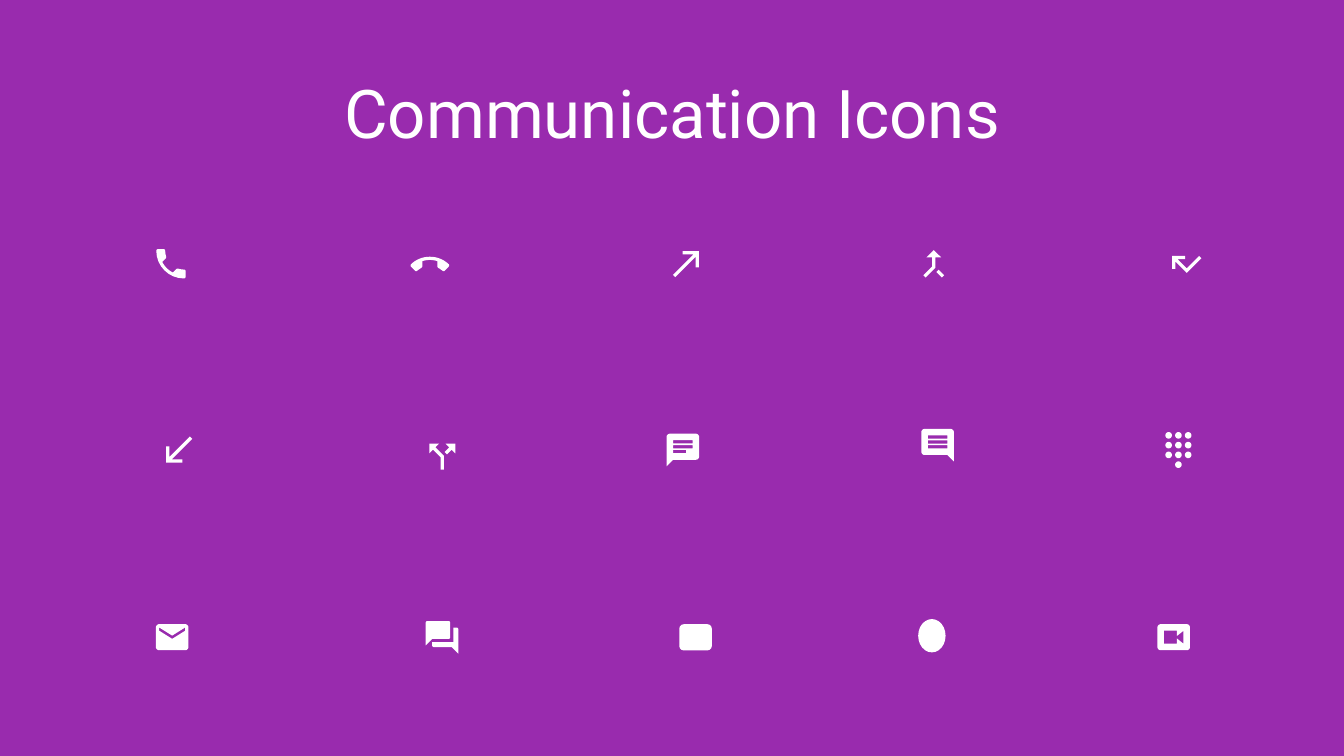
"""Build the Communication Icons slide from outlines on the 24-unit icon grid."""
from dataclasses import dataclass
from math import hypot

from pptx import Presentation
from pptx import util as u
from pptx.dml import color
from pptx.enum import shapes, text

Point = tuple[float, ...]
Contour = list[Point]


@dataclass(frozen=True)
class Theme:
    background: color.RGBColor = color.RGBColor(0x99, 0x2B, 0xAE)
    foreground: color.RGBColor = color.RGBColor(0xFF, 0xFF, 0xFF)
    font: str = "Roboto"
    title_size: u.Pt = u.Pt(48)


@dataclass(frozen=True)
class Icon:
    left: float
    top: float
    contours: list[Contour]


@dataclass(frozen=True)
class PlainIcon:
    kind: shapes.MSO_SHAPE
    left: float
    top: float
    width: float
    height: float


THEME = Theme()
GRID_UNIT = 0.041
CURVE_STEPS = 8
ARC_HANDLE = 0.55


def box(left: float, top: float, right: float, bottom: float, radius: float = 0) -> Contour:
    return [(left, top, radius), (right, top, radius), (right, bottom, radius), (left, bottom, radius)]


def disc(center_x: float, center_y: float, radius: float) -> Contour:
    return box(center_x - radius, center_y - radius, center_x + radius, center_y + radius, radius)


def mirror(contour: Contour, width: float) -> Contour:
    return [(width - point[0], *point[1:]) for point in contour]


def half_turn(contour: Contour, size: float) -> Contour:
    return [(size - x, size - y) for x, y in contour]


def curve(start: Point, first: Point, second: Point, end: Point) -> Contour:
    steps = [step / CURVE_STEPS for step in range(1, CURVE_STEPS + 1)]
    return [
        tuple((1 - t) ** 3 * a + 3 * t * (1 - t) ** 2 * b + 3 * t * t * (1 - t) * c + t ** 3 * d
              for a, b, c, d in zip(start, first, second, end))
        for t in steps
    ]


def toward(start: Point, end: Point, distance: float) -> Point:
    share = distance / hypot(end[0] - start[0], end[1] - start[1])
    return tuple(a + share * (b - a) for a, b in zip(start, end))


def flatten(contour: Contour) -> Contour:
    outline: Contour = []
    for index, point in enumerate(contour):
        if len(point) == 6:
            outline += curve(outline[-1], point[:2], point[2:4], point[4:])
        elif len(point) == 3 and point[2]:
            corner, radius = point[:2], point[2]
            previous = contour[index - 1][-2:] if len(contour[index - 1]) == 6 else contour[index - 1][:2]
            following = contour[(index + 1) % len(contour)][:2]
            start, end = toward(corner, previous, radius), toward(corner, following, radius)
            handle = radius * (1 - ARC_HANDLE)
            outline.append(start)
            outline += curve(start, toward(corner, previous, handle), toward(corner, following, handle), end)
        else:
            outline.append(point[:2])
    return outline


DIAGONAL_ARROW = [(6, 0), (6, 2), (12.59, 2), (0, 14.59), (1.41, 16), (14, 3.41), (14, 10), (16, 10), (16, 0)]
BUBBLE = [(0, 0, 2), (20, 0, 2), (20, 16, 2), (4, 16), (0, 20)]
PANEL = box(0, 0, 20, 16, 2)
TEXT_LINES = [box(4, top, 16, top + 2) for top in (4, 7, 10)]
PHONE = [
    (3.62, 7.79), (5.06, 10.62, 7.38, 12.93, 10.21, 14.38), (12.41, 12.18),
    (12.68, 11.91, 13.08, 11.82, 13.43, 11.94), (14.55, 12.31, 15.76, 12.51, 17, 12.51),
    (17.55, 12.51, 18, 12.96, 18, 13.51), (18, 17), (18, 17.55, 17.55, 18, 17, 18),
    (7.61, 18, 0, 10.39, 0, 1), (0, 0.45, 0.45, 0, 1, 0), (4.5, 0), (5.05, 0, 5.5, 0.45, 5.5, 1),
    (5.5, 2.25, 5.7, 3.45, 6.07, 4.57), (6.18, 4.92, 6.1, 5.31, 5.82, 5.59),
]
HANG_UP = [
    (12, 2), (10.4, 2, 8.85, 2.25, 7.4, 2.72), (7.4, 6.5, 0.8), (5.9, 7.4), (4.2, 8.6),
    (3.5, 9.2, 0.7), (-0.3, 5.37, 1), (3.34, 1.78, 7.46, 0, 12, 0),
    (16.54, 0, 20.66, 1.78, 23.7, 4.67), (24.3, 5.37, 1), (20.5, 9.2, 0.7), (19.8, 8.6),
    (18.1, 7.4), (16.6, 6.5, 0.8), (16.6, 2.72), (15.15, 2.25, 13.6, 2, 12, 2),
]
MERGE = [
    [(11.41, 16.91), (12.82, 15.5), (9.41, 12.09), (8, 13.5)],
    [(1.91, 4.5), (5.41, 4.5), (5.41, 10.09), (0, 15.5), (1.41, 16.91), (7.41, 10.91),
     (7.41, 4.5), (10.91, 4.5), (6.41, 0)],
]
MISSED = [(16.59, 0), (9, 7.59), (3.41, 2), (8, 2), (8, 0), (0, 0), (0, 8), (2, 8), (2, 3.41),
          (9, 10.41), (18, 1.41)]
SPLIT_RIGHT = [(10, 0), (12.29, 2.29), (9.41, 5.17), (10.83, 6.59), (13.71, 3.71), (16, 6), (16, 0)]
SPLIT_LEFT = [(6, 0), (0, 0), (0, 6), (2.29, 3.71), (7, 8.41), (7, 16), (9, 16), (9, 7.59), (3.71, 2.29)]
DIALPAD = [disc(x, y, 2) for x in (2, 8, 14) for y in (2, 8, 14)] + [disc(8, 20, 2)]
ENVELOPE_FLAP = [(18, 4), (10, 9), (2, 4), (2, 2), (10, 7), (18, 2)]
FORUM = [
    [(20, 4, 1), (17, 4), (17, 13), (4, 13), (4, 16, 1), (16, 16), (20, 20)],
    [(15, 11, 1), (15, 0, 1), (0, 0, 1), (0, 15), (4, 11)],
]
CAMERA = [(16, 12), (12, 8.8), (12, 12), (4, 12), (4, 4), (12, 4), (12, 7.2), (16, 4)]

ICONS = [
    Icon(3.94, 6.28, [PHONE]),
    Icon(10.34, 6.47, [HANG_UP]),
    Icon(16.96, 6.33, [DIAGONAL_ARROW]),
    Icon(23.27, 6.3, MERGE),
    Icon(29.54, 6.45, [MISSED]),
    Icon(4.19, 11, [half_turn(DIAGONAL_ARROW, 16)]),
    Icon(10.82, 11.18, [SPLIT_RIGHT]),
    Icon(10.82, 11.18, [SPLIT_LEFT]),
    Icon(16.8, 10.93, [BUBBLE, *TEXT_LINES[:2], box(4, 10, 12, 12)]),
    Icon(23.22, 10.81, [mirror(BUBBLE, 20), *TEXT_LINES]),
    Icon(29.37, 10.89, DIALPAD),
    Icon(3.93, 15.73, [PANEL, ENVELOPE_FLAP]),
    Icon(10.73, 15.65, FORUM),
    Icon(29.17, 15.73, [PANEL, CAMERA]),
]
PLAIN_ICONS = [
    PlainIcon(shapes.MSO_SHAPE.ROUNDED_RECTANGLE, 17.12, 15.73, 0.82, 0.66),
    PlainIcon(shapes.MSO_SHAPE.OVAL, 23.14, 15.6, 0.69, 0.84),
]


def paint(shape) -> None:
    shape.shadow.inherit = False
    shape.fill.solid()
    shape.fill.fore_color.rgb = THEME.foreground
    shape.line.fill.background()


def draw_icon(slide, icon: Icon) -> None:
    outlines = [
        [(u.Cm(icon.left + x * GRID_UNIT), u.Cm(icon.top + y * GRID_UNIT)) for x, y in flatten(contour)]
        for contour in icon.contours
    ]
    builder = slide.shapes.build_freeform(*outlines[0][0])
    for index, outline in enumerate(outlines):
        if index:
            builder.move_to(*outline[0])
        builder.add_line_segments(outline[1:], close=True)
    paint(builder.convert_to_shape())


def draw_plain_icon(slide, icon: PlainIcon) -> None:
    lengths = [u.Cm(length) for length in (icon.left, icon.top, icon.width, icon.height)]
    paint(slide.shapes.add_shape(icon.kind, *lengths))


def draw_title(slide, wording: str) -> None:
    frame = slide.shapes.add_textbox(u.Cm(2.34), u.Cm(2.08), u.Cm(29.21), u.Cm(1.73)).text_frame
    paragraph = frame.paragraphs[0]
    run = paragraph.add_run()
    formats = [
        (frame, {"word_wrap": True, "vertical_anchor": text.MSO_ANCHOR.MIDDLE}),
        (paragraph, {"alignment": text.PP_ALIGN.CENTER, "line_spacing": 0.9}),
        (run, {"text": wording}),
        (run.font, {"name": THEME.font, "size": THEME.title_size}),
        (run.font.color, {"rgb": THEME.foreground}),
    ]
    for target, values in formats:
        for name, value in values.items():
            setattr(target, name, value)


def main() -> None:
    presentation = Presentation()
    presentation.slide_width, presentation.slide_height = u.Cm(33.87), u.Cm(19.05)
    slide = presentation.slides.add_slide(presentation.slide_layouts[6])
    slide.background.fill.solid()
    slide.background.fill.fore_color.rgb = THEME.background
    draw_title(slide, "Communication Icons")
    for icon in ICONS:
        draw_icon(slide, icon)
    for icon in PLAIN_ICONS:
        draw_plain_icon(slide, icon)
    presentation.save("out.pptx")


if __name__ == "__main__":
    main()
